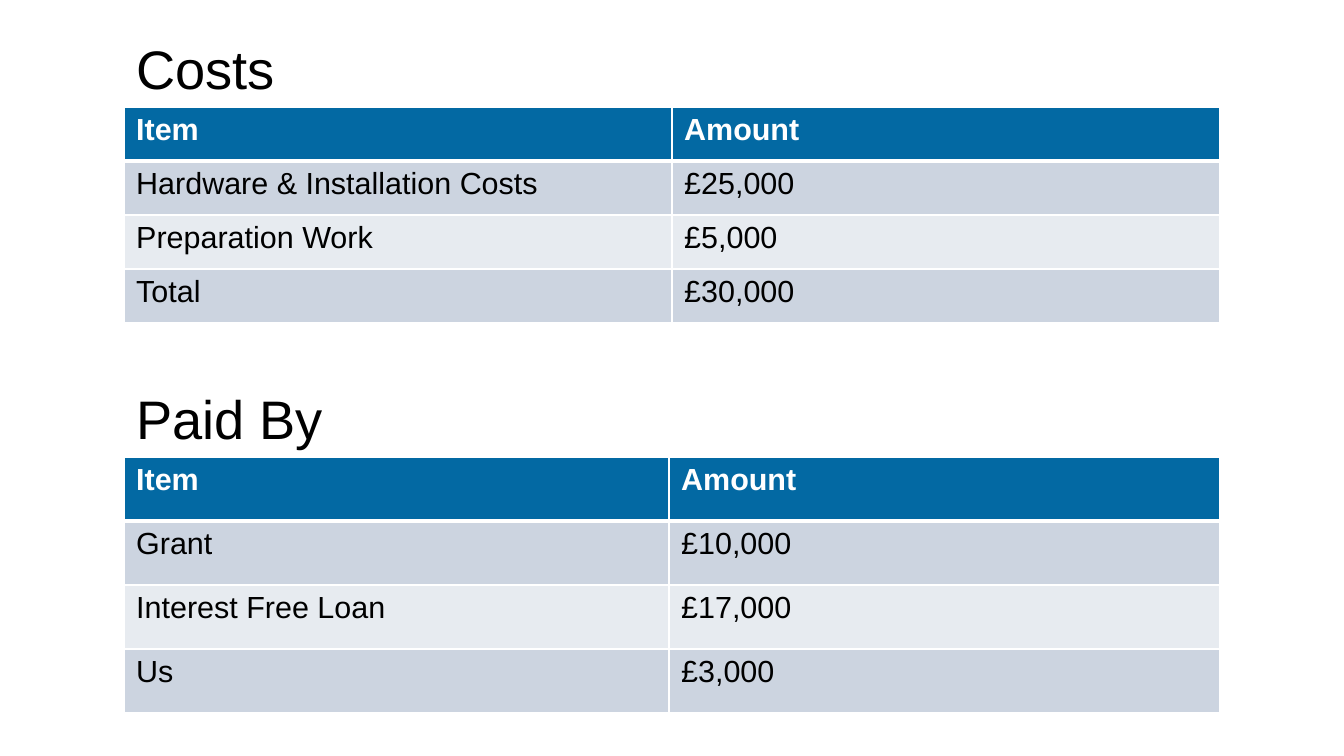
"""Build a slide with two money tables, each under its own heading."""
from lxml.etree import SubElement as Sub
from pptx import Presentation as Deck
from pptx.dml.color import RGBColor as Rgb
from pptx.oxml import parse_xml as parse
from pptx.oxml.ns import nsdecls, qn
from pptx.util import Emu, Pt

HEAD = ("Item", "Amount")
PARTS = [
    dict(title="Costs", top=107, cols=(548, 548), row=54, width=165, rows=[
        ("Hardware & Installation Costs", "£25,000"),
        ("Preparation Work", "£5,000"),
        ("Total", "£30,000"),
    ]),
    dict(title="Paid By", top=457, cols=(545, 551), row=64, width=213, rows=[
        ("Grant", "£10,000"),
        ("Interest Free Loan", "£17,000"),
        ("Us", "£3,000"),
    ]),
]
THEME = dict(
    head="0369A3", bands=("CCD4E0", "E7EBF0"), ink="000000", line="FFFFFF",
    title=dict(name="Arial", size=Pt(32), bold=False),
    top=dict(name="Arial", size=Pt(18), bold=True),
    body=dict(name="Arial", size=Pt(18), bold=False),
)
SIZE = (1344, 756)
LEFT = 124
TALL = 78
SCALE = 914400 / 122


def px(num):
    return Emu(round(num * SCALE))


def write(frame, text, form, ink):
    para = frame.paragraphs[0]
    para.text = text
    font = para.runs[0].font
    for key, val in form.items():
        setattr(font, key, val)
    font.color.rgb = Rgb.from_string(ink)


def edge(cell, row):
    thick = {"T": 3 if row == 1 else 1, "B": 3 if row == 0 else 1}
    props = cell._tc.get_or_add_tcPr()
    for spot, side in enumerate("LRTB"):
        line = parse(f'<a:ln{side} {nsdecls("a")} w="{Pt(thick.get(side, 1))}"/>')
        fill = Sub(line, qn("a:solidFill"))
        Sub(fill, qn("a:srgbClr"), val=THEME["line"])
        props.insert(spot, line)


def add_grid(slide, part):
    data = [HEAD, *part["rows"]]
    cols, high = part["cols"], part["row"]
    grid = slide.shapes.add_table(
        len(data), len(cols), px(LEFT), px(part["top"]),
        px(sum(cols)), px(high * len(data))).table
    for col, wide in zip(grid.columns, cols):
        col.width = px(wide)
    for r, texts in enumerate(data):
        grid.rows[r].height = px(high)
        form, ink = ("body", "ink") if r else ("top", "line")
        shade = THEME["bands"][(r - 1) % 2] if r else THEME["head"]
        for c, text in enumerate(texts):
            cell = grid.cell(r, c)
            cell.fill.solid()
            cell.fill.fore_color.rgb = Rgb.from_string(shade)
            write(cell.text_frame, text, THEME[form], THEME[ink])
            edge(cell, r)


def add_title(slide, part):
    box = slide.shapes.add_textbox(
        px(LEFT), px(part["top"] - TALL), px(part["width"]), px(TALL))
    box.text_frame.word_wrap = False
    write(box.text_frame, part["title"], THEME["title"], THEME["ink"])


def main():
    deck = Deck()
    deck.slide_width, deck.slide_height = map(px, SIZE)
    slide = deck.slides.add_slide(deck.slide_layouts[6])
    for part in PARTS:
        add_grid(slide, part)
        add_title(slide, part)
    deck.save("out.pptx")


if __name__ == "__main__":
    main()
